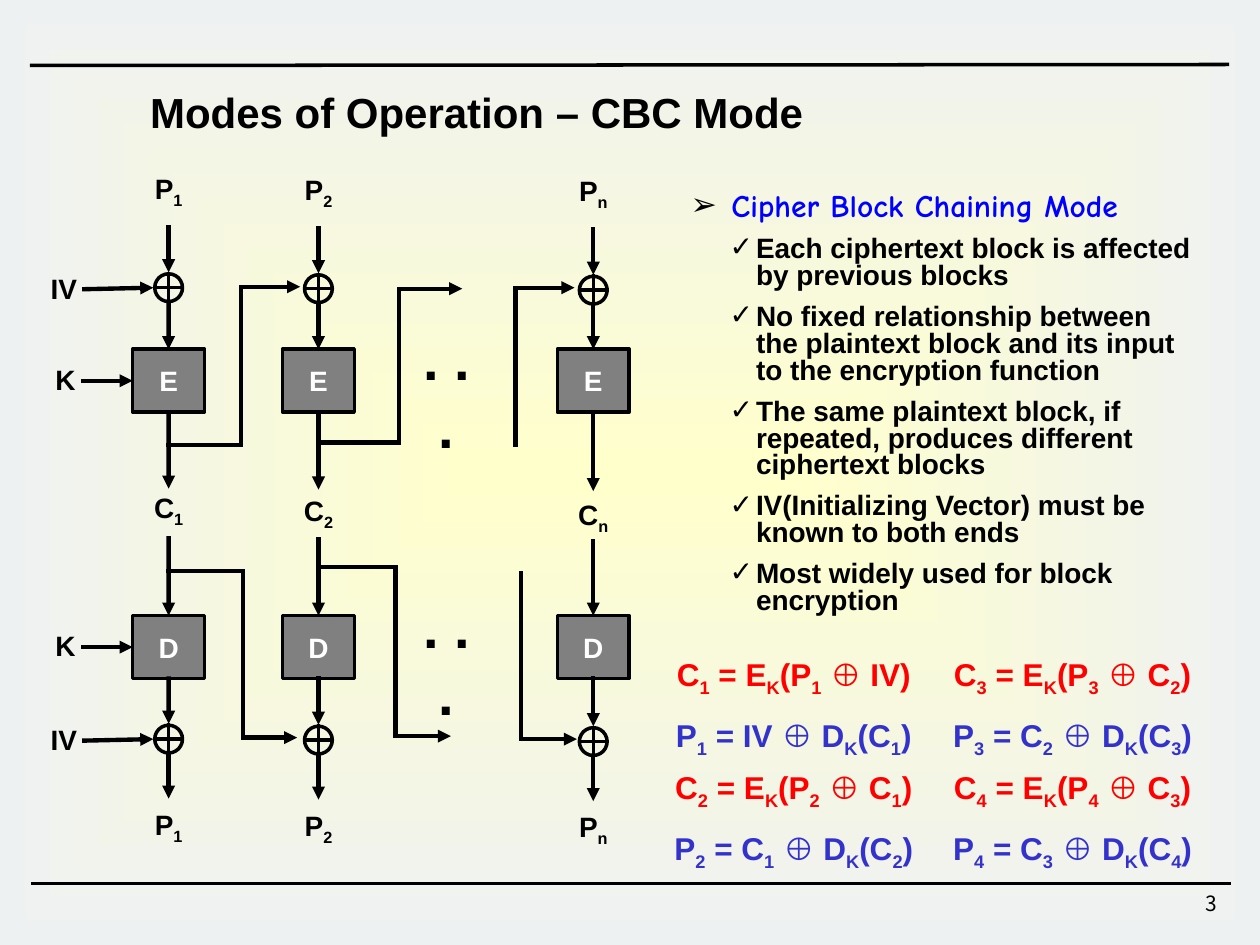
import dataclasses
import typing

import lxml.etree
import pptx
import pptx.dml.color
import pptx.enum.shapes
import pptx.enum.text
import pptx.oxml.ns
import pptx.util

Cm = pptx.util.Cm
Pt = pptx.util.Pt
RGB = pptx.dml.color.RGBColor
qn = pptx.oxml.ns.qn
Align = pptx.enum.text.PP_ALIGN
Form = pptx.enum.shapes.MSO_SHAPE

BLACK = RGB(0x00, 0x00, 0x00)
WHITE = RGB(0xFF, 0xFF, 0xFF)
GRAY = RGB(0x80, 0x80, 0x80)
CREAM = RGB(0xFF, 0xFF, 0xCC)
MIST = RGB(0xEE, 0xF1, 0xF2)
BLUE = RGB(0x00, 0x00, 0xFF)
RED = RGB(0xFF, 0x00, 0x00)
VIOLET = RGB(0x33, 0x33, 0xCC)

BLOCK_W, BLOCK_H, RADIUS = 1.45, 1.27, 0.28


@dataclasses.dataclass
class Column:
    mid: float
    sub: str
    drop: float
    dip: float


@dataclasses.dataclass
class Route:
    points: list[tuple[float, float]]


COLUMNS = [
    Column(3.4, "1", 0, 0),
    Column(6.42, "2", 0.02, 0.05),
    Column(11.96, "n", 0.05, 0.15),
]
ROUTES = [
    Route([(3.4, 8.97), (4.86, 8.97), (4.86, 5.78), (6.05, 5.78)]),
    Route([(6.42, 8.92), (8.04, 8.92), (8.04, 5.82), (9.32, 5.82)]),
    Route([(10.39, 8.97), (10.39, 5.8), (11.58, 5.8)]),
    Route([(3.4, 11.51), (4.9, 11.51), (4.9, 14.87), (5.99, 14.87)]),
    Route([(6.42, 11.43), (7.97, 11.43), (7.97, 14.84), (9.09, 14.84)]),
    Route([(10.5, 11.56), (10.5, 14.9), (11.63, 14.9)]),
]
POINTS = [
    "Each ciphertext block is affected by previous blocks",
    "No fixed relationship between the plaintext block and its input to the encryption function",
    "The same plaintext block, if repeated, produces different ciphertext blocks",
    "IV(Initializing Vector) must be known to both ends",
    "Most widely used for block encryption",
]

deck = pptx.Presentation()
deck.slide_width, deck.slide_height = Cm(25.4), Cm(19.05)
slide = deck.slides.add_slide(deck.slide_layouts[1])
shapes = slide.shapes


def put(para, text: str, *, size: float = 16, ink=BLACK, bold: bool = True,
        face: str = "Arial") -> None:
    first, *rest = text.split("_")
    parts = [(first, False)]
    for piece in rest:
        parts += [(piece[:1], True), (piece[1:], False)]
    for words, low in parts:
        if words:
            run = para.add_run()
            run.text = words
            font = run.font
            font.size, font.bold, font.name = Pt(size), bold, face
            font.color.rgb = ink
            if low:
                font._element.set("baseline", "-25000")


def trim(frame) -> None:
    frame.margin_left = frame.margin_right = 0
    frame.margin_top = frame.margin_bottom = 0


def label(mid: float, top: float, text: str, width: float = 0.9, height: float = 0.69,
          wrap: bool = False, **form) -> None:
    box = shapes.add_textbox(Cm(mid - width / 2), Cm(top), Cm(width), Cm(height))
    frame = box.text_frame
    frame.word_wrap = wrap
    trim(frame)
    frame.paragraphs[0].alignment = Align.CENTER
    put(frame.paragraphs[0], text, **form)


def wire(start: tuple[float, float], end: tuple[float, float], head: bool = False,
         width: float = 2.5, source: typing.Any = None, target: typing.Any = None) -> None:
    line = shapes.add_connector(pptx.enum.shapes.MSO_CONNECTOR.STRAIGHT,
                                *(Cm(n) for n in start + end))
    if source:
        line.begin_connect(*source)
    if target:
        line.end_connect(*target)
    line.line.color.rgb, line.line.width = BLACK, Pt(width)
    props = line._element.spPr
    edge = props.find(qn("a:ln"))
    edge.set("cap", "sq")
    if head:
        lxml.etree.SubElement(edge, qn("a:tailEnd"), type="triangle")
    lxml.etree.SubElement(props, qn("a:effectLst"))


def block(mid: float, top: float, text: str):
    rect = shapes.add_shape(Form.RECTANGLE, Cm(mid - BLOCK_W / 2), Cm(top),
                            Cm(BLOCK_W), Cm(BLOCK_H))
    rect.shadow.inherit = False
    rect.fill.solid()
    rect.fill.fore_color.rgb = GRAY
    rect.line.color.rgb, rect.line.width = BLACK, Pt(2)
    trim(rect.text_frame)
    rect.text_frame.paragraphs[0].alignment = Align.CENTER
    put(rect.text_frame.paragraphs[0], text, ink=WHITE)
    return rect


def xor(x: float, y: float) -> None:
    ring = shapes.add_shape(Form.OVAL, Cm(x - RADIUS), Cm(y - RADIUS),
                            Cm(2 * RADIUS), Cm(2 * RADIUS))
    ring.shadow.inherit = False
    ring.fill.background()
    ring.line.color.rgb, ring.line.width = BLACK, Pt(2)
    wire((x - RADIUS, y), (x + RADIUS, y), width=2)
    wire((x, y - RADIUS), (x, y + RADIUS), width=2)


def column(col: Column) -> None:
    x, d = col.mid, col.drop
    label(x, 3.45 + d, f"P_{col.sub}")
    wire((x, 4.58 + d), (x, 5.49 + d), True)
    xor(x, 5.8 + d)
    enc = block(x, 7.04, "E")
    wire((x, 6.1 + d), (x, 7.04), True, target=(enc, 0))
    wire((x, 8.31), (x, 9.85 + d), True, source=(enc, 2))
    label(x, 9.89 + col.dip, f"C_{col.sub}")
    dec = block(x, 12.41, "D")
    wire((x, 10.85 + d), (x, 12.41), True, target=(dec, 0))
    wire((x, 13.68), (x, 14.59 + d), True, source=(dec, 2))
    xor(x, 14.9 + d)
    wire((x, 15.19 + d), (x, 16.1 + d), True)
    label(x, 16.28 + d, f"P_{col.sub}")
    if col is COLUMNS[0]:
        for rect, top in ((enc, 7.04), (dec, 12.41)):
            y = top + BLOCK_H / 2
            wire((1.68, y), (x - BLOCK_W / 2, y), True, target=(rect, 1))
            label(1.32, y - 0.37, "K")
        for y in (5.8, 14.9):
            wire((1.7, y + 0.03), (x - RADIUS - 0.03, y), True)
            label(1.29, y - 0.33, "IV")


def bullet(para, mark: str, left: float, hang: float) -> None:
    props = para._p.get_or_add_pPr()
    props.set("marL", str(Cm(left)))
    props.set("indent", str(-Cm(hang)))
    lxml.etree.SubElement(props, qn("a:buChar"), char=mark)


def place(shape, x: float, y: float, w: float, h: float):
    shape.left, shape.top, shape.width, shape.height = Cm(x), Cm(y), Cm(w), Cm(h)
    frame = shape.text_frame
    frame.auto_size = pptx.enum.text.MSO_AUTO_SIZE.NONE
    frame.vertical_anchor = pptx.enum.text.MSO_ANCHOR.TOP
    return frame


def backdrop() -> None:
    rect = shapes.add_shape(Form.RECTANGLE, 0, 0, deck.slide_width, deck.slide_height)
    rect.shadow.inherit = False
    rect.line.fill.background()
    rect.fill.gradient()
    for stop, ink in zip(rect.fill.gradient_stops, (CREAM, MIST)):
        stop.color.rgb = ink
    grad = rect._element.spPr.find(qn("a:gradFill"))
    grad.remove(grad.find(qn("a:lin")))
    way = lxml.etree.SubElement(grad, qn("a:path"), path="rect")
    lxml.etree.SubElement(way, qn("a:fillToRect"), dict.fromkeys("ltrb", "50000"))
    shapes._spTree.insert(2, rect._element)


def main() -> None:
    backdrop()
    wire((0.64, 1.32), (24.74, 1.3), width=2)
    wire((0.66, 17.81), (24.77, 17.81), width=2)

    head = place(shapes.title, 2.77, 1.61, 14.4, 1.27)
    head.word_wrap = True
    head.paragraphs[0].alignment = Align.LEFT
    put(head.paragraphs[0], "Modes of Operation – CBC Mode", size=24)

    body = place(slide.placeholders[1], 13.92, 3.74, 10.19, 9.86)
    trim(body)
    para = body.paragraphs[0]
    para.space_before = Pt(0)
    bullet(para, "➢", 0.6, 0.6)
    put(para, " ", size=18, face="Comic Neue")
    put(para, "Cipher Block Chaining Mode", size=18, ink=BLUE, face="Comic Neue")
    for text in POINTS:
        para = body.add_paragraph()
        para.level, para.line_spacing, para.space_before = 1, 0.8, Pt(8)
        bullet(para, "✓", 1.32, 0.53)
        put(para, text)

    for col in COLUMNS:
        column(col)
    for route in ROUTES:
        pairs = list(zip(route.points, route.points[1:]))
        for pair in pairs:
            wire(*pair, head=pair == pairs[-1])
    for top in (6.55, 11.94):
        label(9.0, top, ". . .", 1.22, 1.35, True, size=32)

    for n in range(1, 5):
        side, row = divmod(n - 1, 2)
        mid, top = 16.09 + 5.62 * side, 13.21 + 2.28 * row
        last = f"C_{n - 1}" if n > 1 else "IV"
        label(mid, top, f"C_{n} = E_K(P_{n} ⊕ {last}) ", 5.2, 0.76, size=18, ink=RED)
        label(mid, top + 1.22, f"P_{n} = {last} ⊕ D_K(C_{n}) ", 5.2, 0.76,
              size=18, ink=VIOLET)

    box = shapes.add_textbox(Cm(19.51), Cm(17.83), Cm(5.28), Cm(0.84))
    box.text_frame.word_wrap = True
    para = box.text_frame.paragraphs[0]
    para.alignment = Align.RIGHT
    put(para, "3", size=12, bold=False, face="Noto Sans CJK KR")
    deck.save("out.pptx")


if __name__ == "__main__":
    main()
